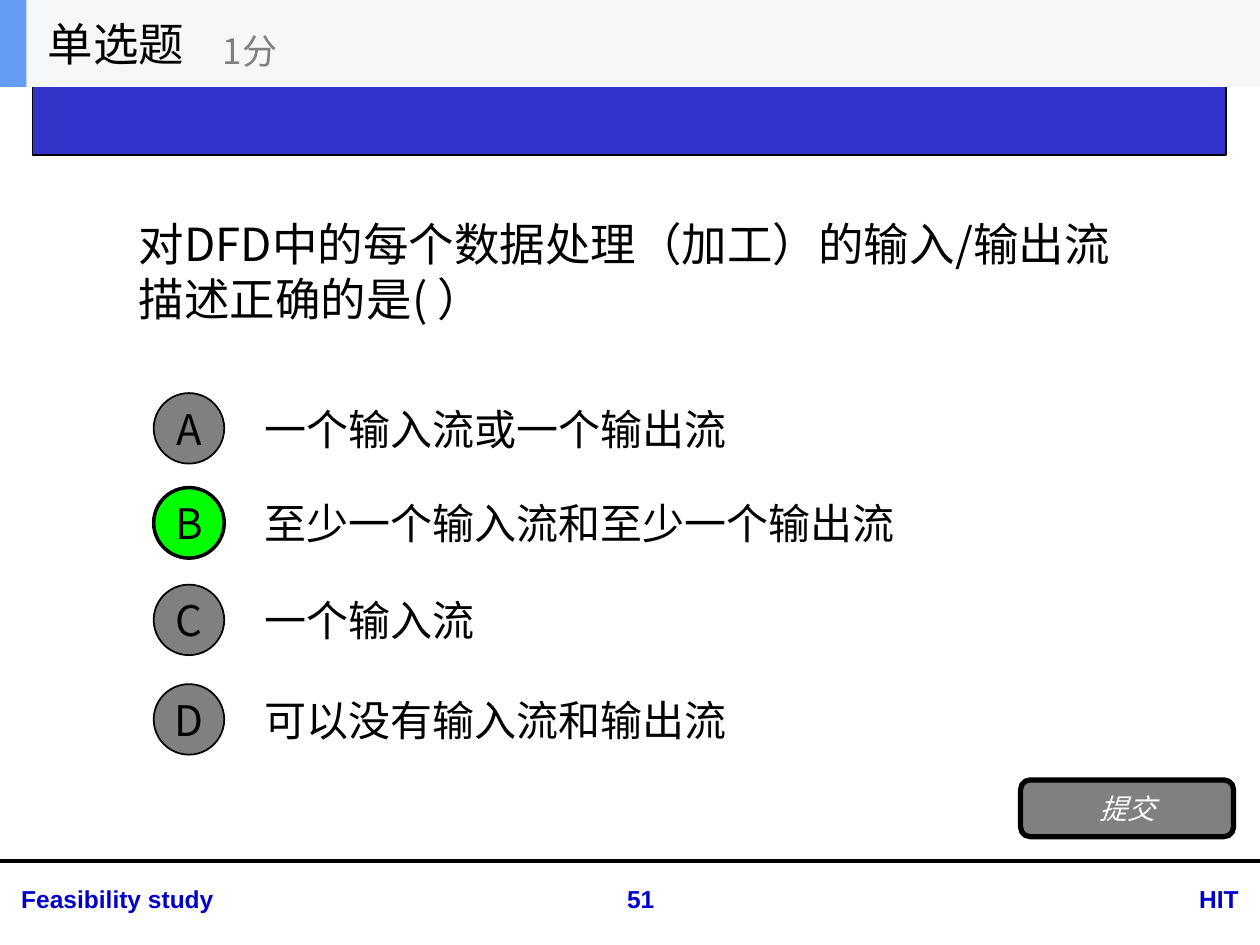
from pptx import Presentation
from pptx.dml.color import RGBColor as Rgb
from pptx.enum.shapes import MSO_CONNECTOR as Conn, MSO_SHAPE as Kind
from pptx.enum.text import MSO_ANCHOR as Anchor, MSO_AUTO_SIZE as Fit, PP_ALIGN as Align
from pptx.oxml.ns import qn
from pptx.util import Inches, Pt
from lxml.etree import SubElement

HUES = {
    "ink": "000000", "white": "FFFFFF", "gray": "808080", "green": "00FF00",
    "band": "3333CC", "foot": "0000CC", "bar": "F6F7F8", "mark": "639EF4",
}
SANS, LATIN = "Noto Sans CJK SC", "Arial"


class Quiz:
    """Draws a quiz slide on a grid of 100 columns by 75 rows."""

    def __init__(self, deck):
        self.slide = deck.slides.add_slide(deck.slide_layouts[5])
        self.shapes = self.slide.shapes
        self.col = deck.slide_width / 100
        self.row = deck.slide_height / 75

    def box(self, x, y, w, h):
        return [round(n) for n in (x * self.col, y * self.row, w * self.col, h * self.row)]

    def letter(self, shape, text, size, hue="ink", align=Align.LEFT, font=SANS,
               bold=False, slant=False, wrap=True, anchor=Anchor.MIDDLE):
        frame = shape.text_frame
        frame.text = text
        frame.auto_size = Fit.NONE
        frame.word_wrap = wrap
        frame.vertical_anchor = anchor
        para = frame.paragraphs[0]
        para.alignment = align
        run = para.runs[0]
        style = run.font
        style.size, style.name = Pt(size), font
        style.bold, style.italic = bold, slant
        style.color.rgb = Rgb.from_string(HUES[hue])
        SubElement(run._r.get_or_add_rPr(), qn("a:ea")).set("typeface", font)

    def title(self, area, text, size):
        shape = self.shapes.title
        shape.left, shape.top, shape.width, shape.height = self.box(*area)
        self.letter(shape, text, size)

    def label(self, area, text, size, **look):
        self.letter(self.shapes.add_textbox(*self.box(*area)), text, size, **look)

    def block(self, kind, area, fill, line=0):
        shape = self.shapes.add_shape(kind, *self.box(*area))
        shape.shadow.inherit = False
        shape.fill.solid()
        shape.fill.fore_color.rgb = Rgb.from_string(HUES[fill])
        if line:
            shape.line.color.rgb = Rgb.from_string(HUES["ink"])
            shape.line.width = Pt(line)
        else:
            shape.line.fill.background()
        return shape

    def rule(self, y, width):
        left, top, span, _ = self.box(0, y, 100, 0)
        line = self.shapes.add_connector(Conn.STRAIGHT, left, top, left + span, top)
        line.line.color.rgb = Rgb.from_string(HUES["ink"])
        line.line.width = Pt(width)
        SubElement(line._element.spPr, qn("a:effectLst"))

    def choice(self, y, mark, text, right):
        self.label((20, y, 70, 7), text, 24)
        disc = self.block(Kind.OVAL, (12.2, y + 0.7, 5.6, 5.6),
                          "green" if right else "gray", 2 if right else 1)
        self.letter(disc, mark, 24, align=Align.CENTER, wrap=False)


def main():
    deck = Presentation()
    deck.slide_width, deck.slide_height = Inches(10), Inches(7.5)
    quiz = Quiz(deck)

    quiz.block(Kind.RECTANGLE, (2.6, 3.2, 94.7, 9.1), "band", 0.75)
    quiz.rule(68.3, 2.25)
    for x, w, text, align in (
        (0.7, 38.5, "Feasibility study", Align.LEFT),
        (45.7, 10.3, "51", Align.CENTER),
        (89, 10.3, "HIT", Align.RIGHT),
    ):
        quiz.label((x, 69.7, w, 3.4), text, 14, hue="foot", align=align,
                   font=LATIN, bold=True, anchor=Anchor.TOP)

    quiz.title((10, 12, 80, 19), "对DFD中的每个数据处理（加工）的输入/输出流描述正确的是( ）", 26)
    for y, mark, text in (
        (30.5, "A", "一个输入流或一个输出流"),
        (38, "B", "至少一个输入流和至少一个输出流"),
        (45.7, "C", "一个输入流"),
        (53.6, "D", "可以没有输入流和输出流"),
    ):
        quiz.choice(y, mark, text, mark == "B")

    send = quiz.block(Kind.ROUNDED_RECTANGLE, (81, 61.9, 16.9, 4.5), "gray", 3)
    quiz.letter(send, "提交", 16, hue="white", align=Align.CENTER, slant=True, wrap=False)

    quiz.block(Kind.RECTANGLE, (0, 0, 100, 6.9), "bar")
    quiz.block(Kind.RECTANGLE, (0, 0, 2.1, 6.9), "mark")
    quiz.label((2.8, 0, 20.8, 6.9), "单选题", 26, wrap=False)
    quiz.label((16.7, 1.2, 25, 5.6), "1分", 20, hue="gray", wrap=False)

    deck.save("out.pptx")


if __name__ == "__main__":
    main()
